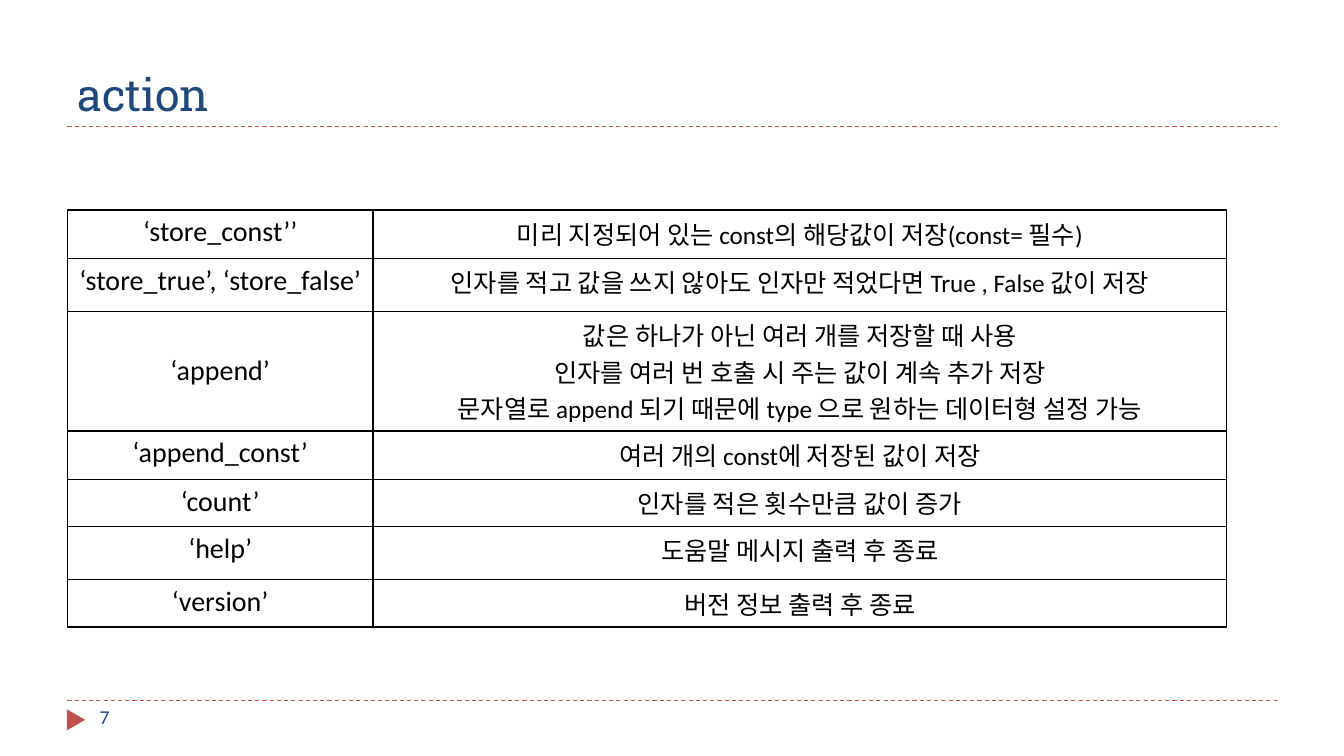
"""Build the slide that lists the argparse action values."""
import pptx
import pptx.dml.color
import pptx.enum.dml
import pptx.enum.shapes
import pptx.enum.text
import pptx.oxml
import pptx.oxml.ns
import pptx.util

Cm, Pt = pptx.util.Cm, pptx.util.Pt
ALIGN = pptx.enum.text.PP_ALIGN
ANCHOR = pptx.enum.text.MSO_ANCHOR
NAMESPACE = pptx.oxml.ns.nsdecls("a")

COLOURS = {"navy": "1F497D", "red": "C0504D", "black": "000000"}
FORMATS = {
    "title": {"size": Pt(32), "name": "Roboto Slab", "bold": False},
    "number": {"size": Pt(14), "name": "Calibri", "bold": False},
    "action": {"size": Pt(20), "name": "Calibri", "bold": False},
    "meaning": {"size": Pt(18), "name": "Calibri", "bold": False},
}
ACTIONS = [
    (1.22, "‘store_const’’", ["미리 지정되어 있는 const의 해당값이 저장(const= 필수)"]),
    (1.33, "‘store_true’, ‘store_false’",
     ["인자를 적고 값을 쓰지 않아도 인자만 적었다면 True , False 값이 저장"]),
    (3.02, "‘append’",
     ["값은 하나가 아닌 여러 개를 저장할 때 사용",
      "인자를 여러 번 호출 시 주는 값이 계속 추가 저장",
      "문자열로 append 되기 때문에 type 으로 원하는 데이터형 설정 가능"]),
    (1.22, "‘append_const’", ["여러 개의 const에 저장된 값이 저장"]),
    (1.19, "‘count’", ["인자를 적은 횟수만큼 값이 증가"]),
    (1.34, "‘help’", ["도움말 메시지 출력 후 종료"]),
    (1.19, "‘version’", ["버전 정보 출력 후 종료"]),
]
COLUMN_WIDTHS = (7.7, 21.51)
LEFT, RULE_WIDTH = 1.7, 30.48
RULE_TOPS = (3.18, 17.65)
TABLE_TOP = 5.29
TEXTS = [
    ("action", "title", (LEFT, 0.43, RULE_WIDTH, 2.74), ANCHOR.BOTTOM),
    ("7", "number", (2.26, 17.65, 7.34, 1.02), ANCHOR.TOP),
]


def rgb(name):
    return pptx.dml.color.RGBColor.from_string(COLOURS[name])


def write(frame, lines, style, colour, align):
    for index, line in enumerate(lines):
        para = frame.paragraphs[0] if index == 0 else frame.add_paragraph()
        para.alignment = align
        span = para.add_run()
        span.text = line
        span.font.color.rgb = rgb(colour)
        for key, value in FORMATS[style].items():
            setattr(span.font, key, value)


def add_rule(page, top):
    rule = page.shapes.add_connector(
        pptx.enum.shapes.MSO_CONNECTOR.STRAIGHT,
        Cm(LEFT), Cm(top), Cm(LEFT + RULE_WIDTH), Cm(top))
    rule.line.color.rgb = rgb("red")
    rule.line.width = Pt(0.75)
    rule.line.dash_style = pptx.enum.dml.MSO_LINE.DASH
    rule._element.spPr.append(
        pptx.oxml.parse_xml(f"<a:effectLst {NAMESPACE}/>"))


def add_borders(cell):
    properties = cell._tc.get_or_add_tcPr()
    for index, side in enumerate(("lnL", "lnR", "lnT", "lnB")):
        properties.insert(index, pptx.oxml.parse_xml(
            f'<a:{side} {NAMESPACE} w="12700"><a:solidFill>'
            f'<a:srgbClr val="{COLOURS["black"]}"/></a:solidFill></a:{side}>'))


def add_action_table(page):
    heights = [height for height, _, _ in ACTIONS]
    table = page.shapes.add_table(
        len(ACTIONS), len(COLUMN_WIDTHS), Cm(LEFT), Cm(TABLE_TOP),
        Cm(sum(COLUMN_WIDTHS)), Cm(sum(heights))).table
    table.first_row = table.horz_banding = False
    for column, width in zip(table.columns, COLUMN_WIDTHS):
        column.width = Cm(width)
    for row, (height, action, meaning) in zip(table.rows, ACTIONS):
        row.height = Cm(height)
        contents = (([action], "action"), (meaning, "meaning"))
        for cell, (lines, style) in zip(row.cells, contents):
            write(cell.text_frame, lines, style, "black", ALIGN.CENTER)
            several = len(meaning) > 1
            cell.vertical_anchor = ANCHOR.MIDDLE if several else ANCHOR.TOP
            cell.fill.background()
            add_borders(cell)


deck = pptx.Presentation()
deck.slide_width, deck.slide_height = Cm(33.87), Cm(19.05)
page = deck.slides.add_slide(deck.slide_layouts[6])

for top in RULE_TOPS:
    add_rule(page, top)

marker = page.shapes.add_shape(
    pptx.enum.shapes.MSO_SHAPE.ISOSCELES_TRIANGLE,
    Cm(1.65), Cm(17.91), Cm(0.53), Cm(0.46))
marker.rotation = 90
marker.shadow.inherit = False
marker.fill.solid()
marker.fill.fore_color.rgb = rgb("red")
marker.line.fill.background()

for text, style, place, anchor in TEXTS:
    box = page.shapes.add_textbox(*map(Cm, place))
    box.text_frame.word_wrap = True
    box.text_frame.vertical_anchor = anchor
    write(box.text_frame, [text], style, "navy", ALIGN.LEFT)

add_action_table(page)
deck.save("out.pptx")
